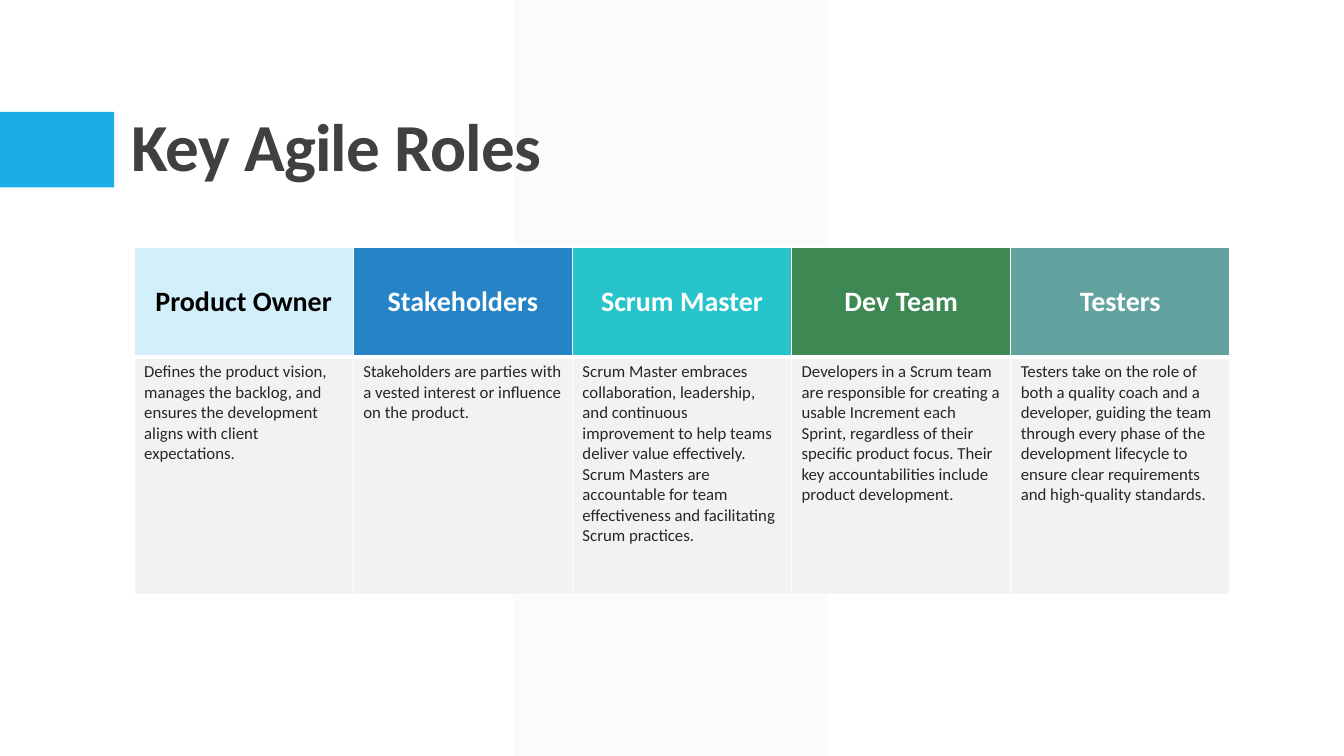
import pptx
import pptx.util
import pptx.dml.color
import pptx.enum.shapes
import pptx.enum.text
import pptx.oxml
import pptx.oxml.ns

Inches, Pt = pptx.util.Inches, pptx.util.Pt
RGBColor = pptx.dml.color.RGBColor
SHAPE = pptx.enum.shapes.MSO_SHAPE
ALIGN = pptx.enum.text.PP_ALIGN
ANCHOR = pptx.enum.text.MSO_ANCHOR

WIDE, HIGH = 13.33, 7.5
FONT = "Calibri"
BLACK = RGBColor(0x00, 0x00, 0x00)
WHITE = RGBColor(0xFF, 0xFF, 0xFF)
PALE = RGBColor(0xF2, 0xF2, 0xF2)
DARK = RGBColor(0x40, 0x40, 0x40)
INK = RGBColor(0x26, 0x26, 0x26)
SKY = RGBColor(0x1C, 0xAD, 0xE4)
ICE = RGBColor(0xD2, 0xEF, 0xFA)
BLUE = RGBColor(0x26, 0x83, 0xC6)
TEAL = RGBColor(0x28, 0xC4, 0xCC)
GREEN = RGBColor(0x3E, 0x88, 0x53)
SAGE = RGBColor(0x62, 0xA3, 0x9F)

# Role, header fill, header text colour, duties
ROLES = [
    ("Product Owner", ICE, BLACK,
     "Defines the product vision, manages the backlog, and ensures the "
     "development aligns with client expectations."),
    ("Stakeholders", BLUE, WHITE,
     "Stakeholders are parties with a vested interest or influence on the "
     "product."),
    ("Scrum Master", TEAL, WHITE,
     "Scrum Master embraces collaboration, leadership, and continuous "
     "improvement to help teams deliver value effectively. Scrum Masters are "
     "accountable for team effectiveness and facilitating Scrum practices."),
    ("Dev Team", GREEN, WHITE,
     "Developers in a Scrum team are responsible for creating a usable "
     "Increment each Sprint, regardless of their specific product focus. "
     "Their key accountabilities include product development."),
    ("Testers", SAGE, WHITE,
     "Testers take on the role of both a quality coach and a developer, "
     "guiding the team through every phase of the development lifecycle to "
     "ensure clear requirements and high-quality standards."),
]


def write(frame, text, size, color, bold=False, align=ALIGN.LEFT,
          space=None, track=None):
    para = frame.paragraphs[0]
    para.alignment = align
    if space:
        para.line_spacing = space
    run = para.add_run()
    run.text = text
    font = run.font
    font.name, font.size, font.bold = FONT, Pt(size), bold
    font.color.rgb = color
    if track:
        font._element.set("spc", str(int(track * 100)))


def block(slide, kind, box, color, alpha=None):
    shape = slide.shapes.add_shape(kind, *map(Inches, box))
    shape.shadow.inherit = False
    shape.fill.solid()
    shape.fill.fore_color.rgb = color
    shape.line.fill.background()
    if alpha:
        tone = shape.element.spPr.find(".//" + pptx.oxml.ns.qn("a:srgbClr"))
        tone.append(pptx.oxml.parse_xml(
            f'<a:alpha {pptx.oxml.ns.nsdecls("a")} val="{alpha * 1000}"/>'))
    return shape


def edge(cell, **widths):
    # Borders stand ahead of the fill, in the order L, R, T, B
    props = cell._tc.get_or_add_tcPr()
    for spot, side in enumerate("LRTB"):
        width = Pt(widths.get(side, 1))
        props.insert(spot, pptx.oxml.parse_xml(
            f'<a:ln{side} {pptx.oxml.ns.nsdecls("a")} w="{width}">'
            f'<a:solidFill><a:srgbClr val="{WHITE}"/></a:solidFill>'
            f'</a:ln{side}>'))


def decor(slide, box):
    # Pale upright band and blue tab at the left edge
    left, top, wide, high = box
    band = block(slide, SHAPE.PARALLELOGRAM,
                 (left + 0.3825 * wide, top, 0.234 * wide, high), PALE, 30)
    band.adjustments[0] = 0
    block(slide, SHAPE.RECTANGLE,
          (left, top + 0.148 * high, 0.085 * wide, 0.1 * high), SKY)


def heading(slide, box, text):
    title = slide.shapes.title
    title.left, title.top, title.width, title.height = map(Inches, box)
    # Bring the title in front of the band
    title.element.getparent().append(title.element)
    frame = title.text_frame
    frame.word_wrap = True
    frame.auto_size = pptx.enum.text.MSO_AUTO_SIZE.NONE
    frame.vertical_anchor = ANCHOR.BOTTOM
    write(frame, text, 48, DARK, bold=True, space=0.9, track=-0.5)


def grid(slide, box, roles):
    frame = slide.shapes.add_table(2, len(roles), *map(Inches, box))
    table = frame.table
    table.horz_banding = False
    head = 1.09
    table.rows[0].height = Inches(head)
    table.rows[1].height = Inches(box[3] - head)
    for col, (name, fill, color, duty) in enumerate(roles):
        table.columns[col].width = Inches(box[2] / len(roles))
        top, body = table.cell(0, col), table.cell(1, col)
        for cell, tone in ((top, fill), (body, PALE)):
            cell.fill.solid()
            cell.fill.fore_color.rgb = tone
        # Header cell
        top.vertical_anchor = ANCHOR.MIDDLE
        top.margin_left = top.margin_right = Inches(0.12)
        top.margin_top = top.margin_bottom = Inches(0.06)
        write(top.text_frame, name, 20, color, bold=True, align=ALIGN.CENTER)
        edge(top, B=3)
        # Duties cell
        write(body.text_frame, duty, 12, INK)
        edge(body, T=3)


def main():
    deck = pptx.Presentation()
    deck.slide_width, deck.slide_height = Inches(WIDE), Inches(HIGH)
    slide = deck.slides.add_slide(deck.slide_layouts[5])
    decor(slide, (0, 0, WIDE, HIGH))
    heading(slide, (1.2, 0.31, 11, 1.59), "Key Agile Roles")
    grid(slide, (1.33, 2.45, 10.87, 3.45), ROLES)
    deck.save("out.pptx")


if __name__ == "__main__":
    main()
